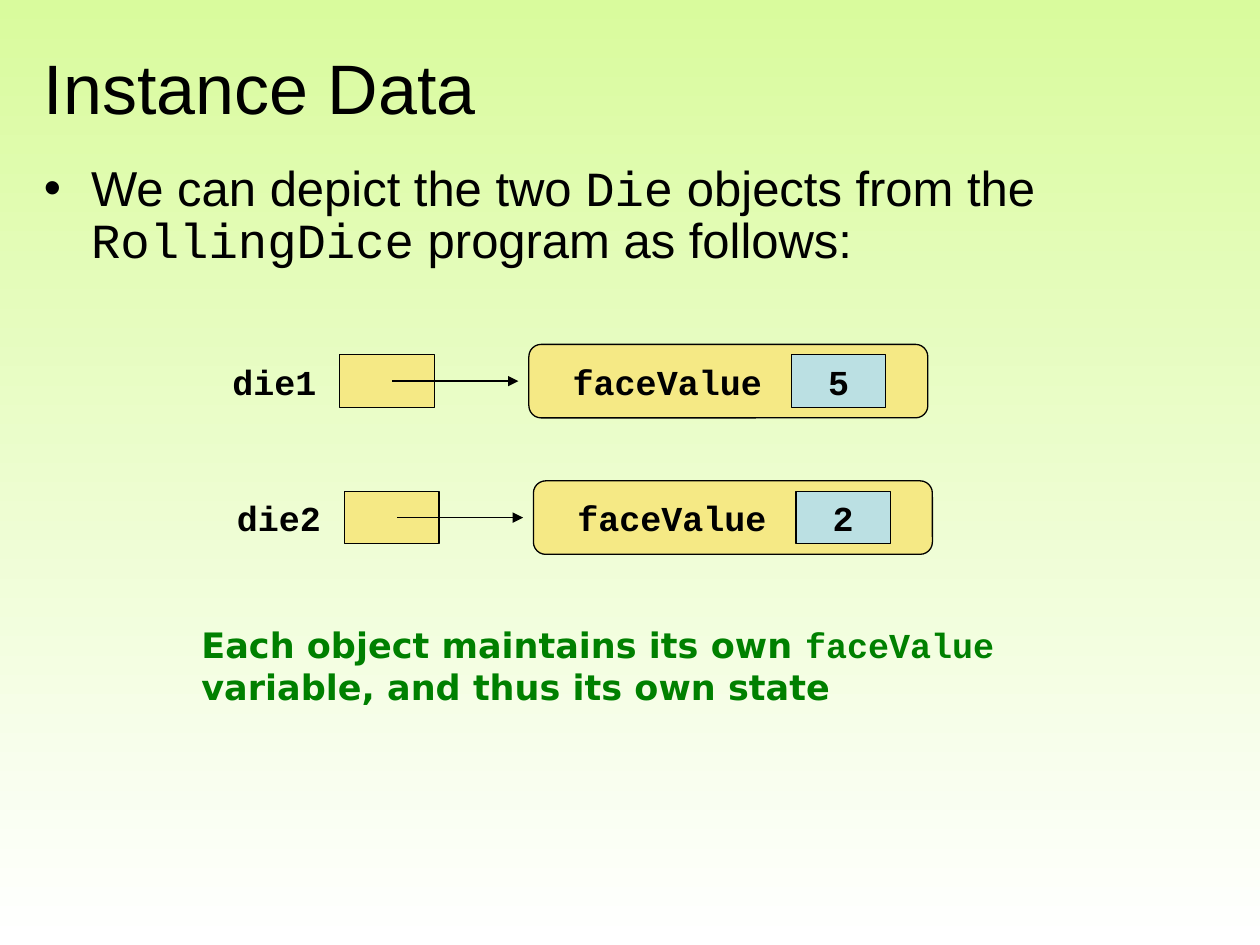
from lxml import etree
from pptx import Presentation
from pptx.dml.color import RGBColor
from pptx.enum.shapes import MSO_CONNECTOR, MSO_SHAPE
from pptx.enum.text import MSO_ANCHOR, PP_ALIGN
from pptx.oxml.ns import qn
from pptx.util import Pt

RECT, ROUNDED = MSO_SHAPE.RECTANGLE, MSO_SHAPE.ROUNDED_RECTANGLE
STRAIGHT = MSO_CONNECTOR.STRAIGHT
TOP, MIDDLE = MSO_ANCHOR.TOP, MSO_ANCHOR.MIDDLE
LEFT, CENTER = PP_ALIGN.LEFT, PP_ALIGN.CENTER
SANS, MONO, NOTE = "Arial", "Courier New", "DejaVu Sans"
BLACK, GREEN, YELLOW, BLUE = "000000", "008000", "F5E985", "BBE0E3"
color = RGBColor.from_string


def write(sp, *runs, size=20, rgb=BLACK, bold=False, wrap=True,
          anchor=TOP, align=LEFT):
    """Fill a shape with one paragraph of (text, font) runs."""
    tf = sp.text_frame
    tf.word_wrap = wrap
    tf.vertical_anchor = anchor
    p = tf.paragraphs[0]
    p.alignment = align
    for text, font in runs:
        r = p.add_run()
        r.text = text
        r.font.name = font
        r.font.size = Pt(size)
        r.font.bold = bold
        r.font.color.rgb = color(rgb)
    return p


def add_box(shapes, kind, x, y, w, h, fill):
    sp = shapes.add_shape(kind, Pt(x), Pt(y), Pt(w), Pt(h))
    sp.shadow.inherit = False
    sp.fill.solid()
    sp.fill.fore_color.rgb = color(fill)
    sp.line.color.rgb = color(BLACK)
    sp.line.width = Pt(0.75)
    return sp


prs = Presentation()
prs.slide_width, prs.slide_height = Pt(720), Pt(540)
s = prs.slides.add_slide(prs.slide_layouts[6])

# Background gradient, top to bottom
bg = s.background.fill
bg.gradient()
bg.gradient_angle = 270
for stop, rgb in zip(bg.gradient_stops, ("D9FB9D", "FFFFFF")):
    stop.color.rgb = color(rgb)

# Title
sp = s.shapes.add_textbox(Pt(18), Pt(21.6), Pt(684), Pt(56.2))
write(sp, ("Instance Data", SANS), size=40, anchor=MIDDLE)

# Bullet
sp = s.shapes.add_textbox(Pt(18), Pt(90), Pt(672), Pt(96))
p = write(sp, ("We can depict the two ", SANS), ("Die", MONO),
          (" objects from the ", SANS), ("RollingDice", MONO),
          (" program as follows:", SANS), size=28)
p.line_spacing = 0.9
pPr = p._p.get_or_add_pPr()
pPr.set("marL", str(Pt(27)))
pPr.set("indent", str(-Pt(27)))
etree.SubElement(pPr, qn("a:buFont"), typeface=SANS)
etree.SubElement(pPr, qn("a:buChar"), char="•")

# Variables, each pointing to its object
for x, y, name, value in ((125.7, 196.8, "die1", "5"),
                          (128.3, 274.8, "die2", "2")):
    row = s.shapes.add_group_shape().shapes
    add_box(row, RECT, x + 68.5, y + 6, 54, 30, YELLOW)
    add_box(row, ROUNDED, x + 176.5, y, 228, 42, YELLOW)

    arrow = row.add_connector(STRAIGHT, Pt(x + 98.6), Pt(y + 21),
                              Pt(x + 170.6), Pt(y + 21))
    arrow.line.color.rgb = color(BLACK)
    arrow.line.width = Pt(0.75)
    etree.SubElement(arrow.line._get_or_add_ln(), qn("a:tailEnd"), type="triangle")
    etree.SubElement(arrow._element.spPr, qn("a:effectLst"))

    sp = add_box(row, RECT, x + 326.5, y + 6, 54, 30, BLUE)
    write(sp, (value, MONO), bold=True, wrap=False, anchor=MIDDLE, align=CENTER)
    for label, dx, w in ((name, 0, 62.4), ("faceValue", 194.5, 122.4)):
        sp = row.add_textbox(Pt(x + dx), Pt(y + 5.5), Pt(w), Pt(31))
        write(sp, (label, MONO), bold=True, wrap=False)

# Closing remark
sp = s.shapes.add_textbox(Pt(108), Pt(352.8), Pt(516), Pt(55.4))
write(sp, ("Each object maintains its own ", NOTE), ("faceValue", MONO),
      (" variable, and thus its own state", NOTE), rgb=GREEN, bold=True)

prs.save("out.pptx")
